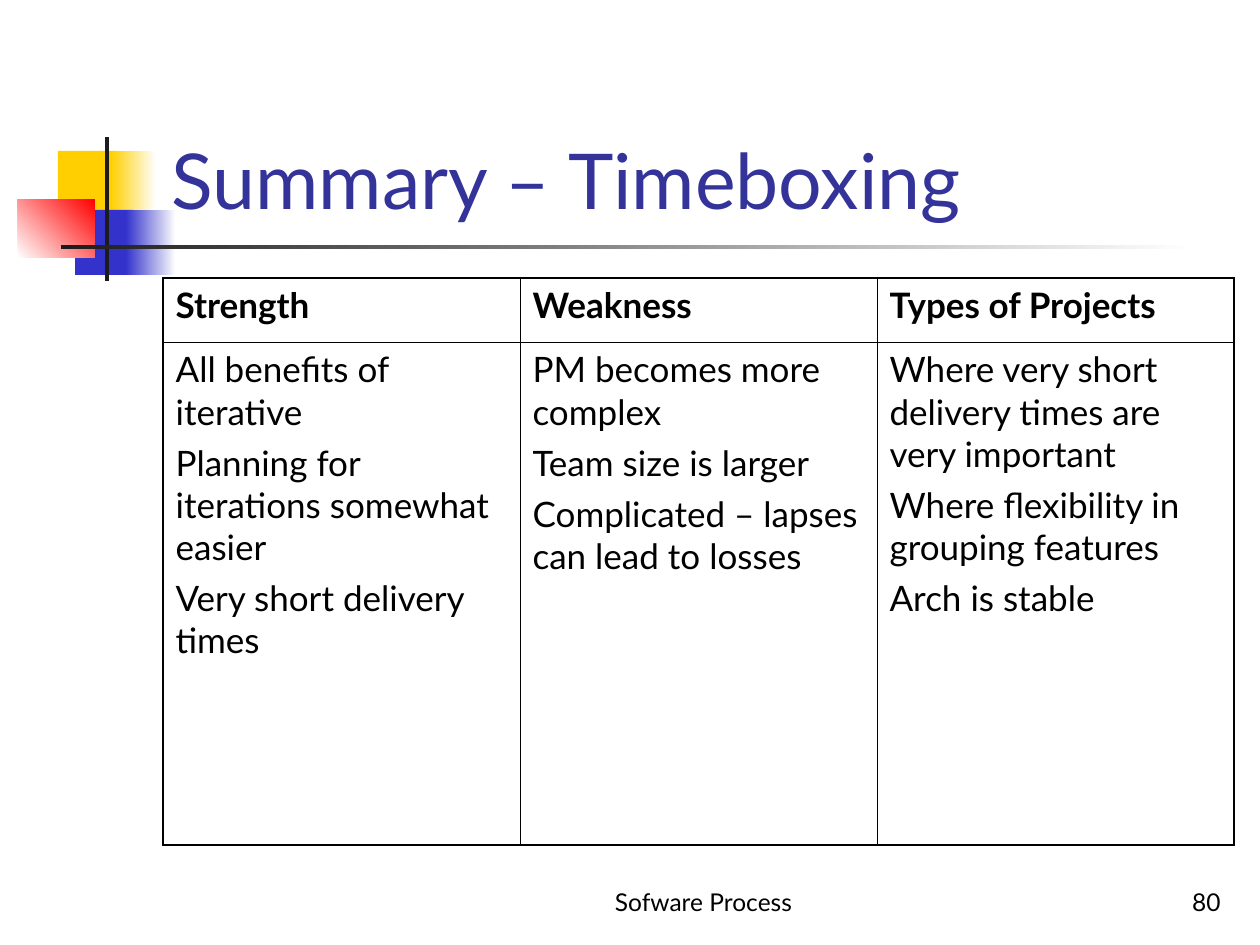
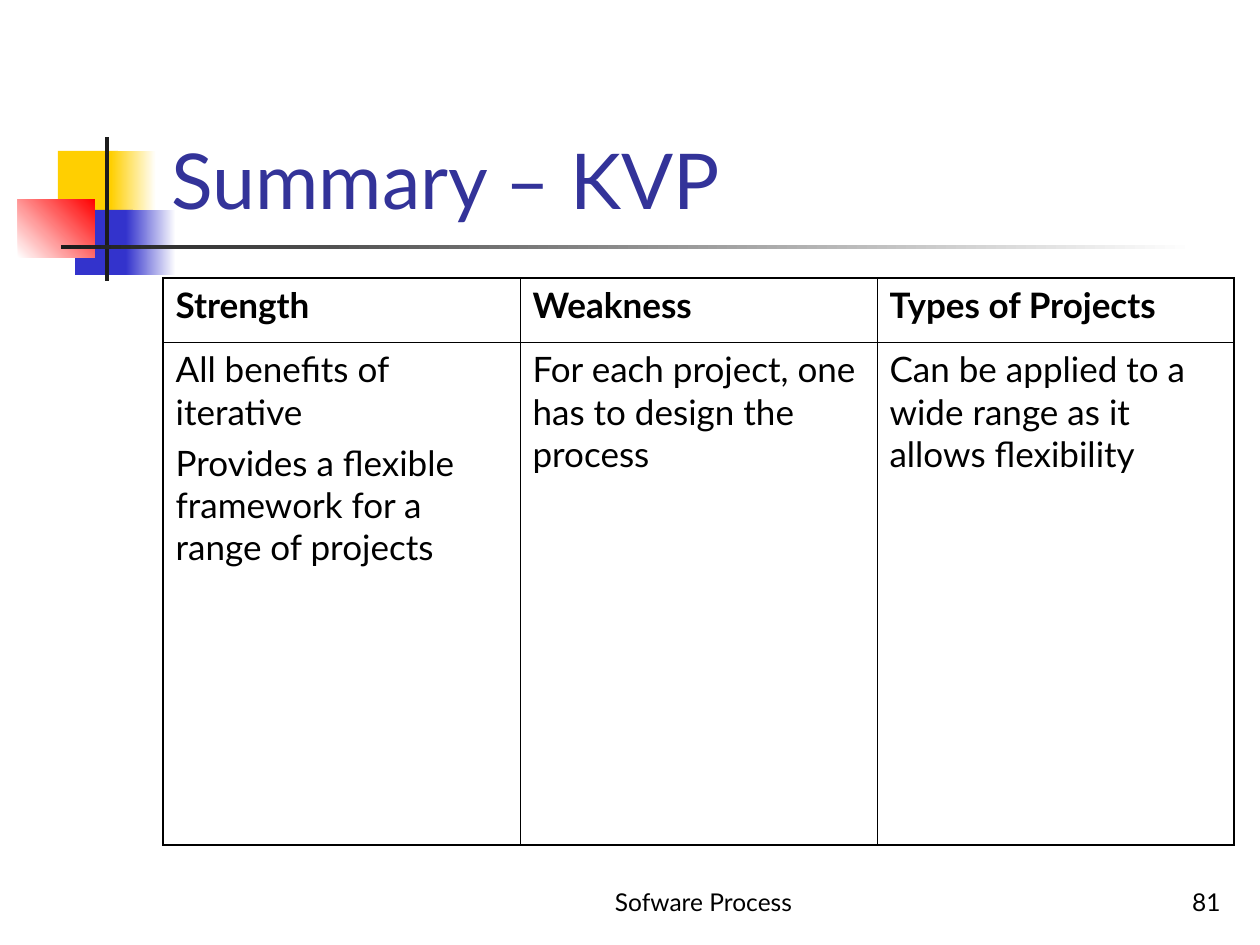
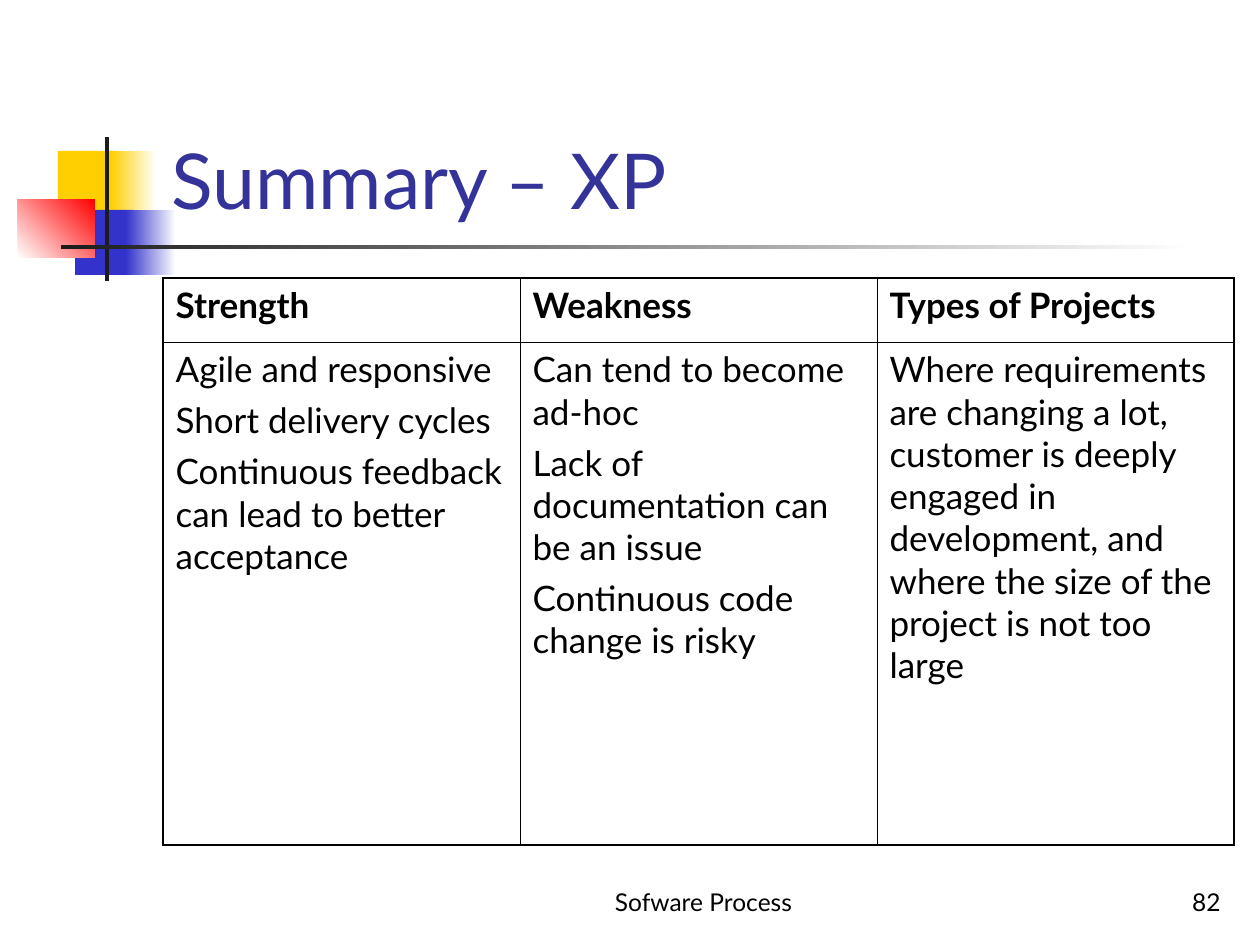
from lxml import etree
from pptx import Presentation
from pptx.dml.color import RGBColor
from pptx.enum.shapes import MSO_SHAPE
from pptx.enum.text import MSO_ANCHOR, MSO_AUTO_SIZE, PP_ALIGN
from pptx.oxml.ns import qn
from pptx.util import Pt

RECTANGLE = MSO_SHAPE.RECTANGLE
BOTTOM = MSO_ANCHOR.BOTTOM
NO_AUTOFIT = MSO_AUTO_SIZE.NONE
LEFT, CENTER, RIGHT = PP_ALIGN.LEFT, PP_ALIGN.CENTER, PP_ALIGN.RIGHT

HEADINGS = ["Strength", "Weakness", "Types of Projects"]
FOOTER = "Sofware Process"
FIRST_NUMBER = 80
SUMMARIES = [
    ("Summary – Timeboxing", [
        ["All benefits of iterative",
         "Planning for iterations somewhat easier",
         "Very short delivery times"],
        ["PM becomes more complex",
         "Team size is larger",
         "Complicated – lapses can lead to losses"],
        ["Where very short delivery times are very important",
         "Where flexibility in grouping features",
         "Arch is stable"],
    ]),
    ("Summary – KVP", [
        ["All benefits of iterative",
         "Provides a flexible framework for a range of projects"],
        ["For each project, one has to design the process"],
        ["Can be applied to a wide range as it allows flexibility"],
    ]),
    ("Summary – XP", [
        ["Agile and responsive",
         "Short delivery cycles",
         "Continuous feedback can lead to better acceptance"],
        ["Can tend to become ad-hoc",
         "Lack of documentation can be an issue",
         "Continuous code change is risky"],
        ["Where requirements are changing a lot, customer is deeply engaged in "
         "development, and where the size of the project is not too large"],
    ]),
]

FONT = "Lato"
COLORS = {
    "title": "333399", "text": "000000", "white": "FFFFFF", "yellow": "FFCF01",
    "blue": "3333CC", "red": "FF0000", "bar": "1C1C1C",
}

EMU_PER_PX = 914400 / 126
PAGE_SIZE = (1260, 945)
TITLE_AREA = (159, 29, 1073, 202)
FOOTER_AREA = (504, 860, 399, 63)
NUMBER_AREA = (971, 860, 262, 63)
TABLE_ORIGIN = (163, 278)
COLUMN_WIDTH = 357
ROW_HEIGHTS = [64, 503]
OUTER_LINE, INNER_LINE = Pt(1.08), Pt(0.45)

# Area, colours (two make a gradient), gradient angle
ORNAMENTS = [
    ((58, 151, 60, 66), ["yellow"], 0),
    ((111, 151, 45, 66), ["yellow", "white"], 0),
    ((75, 210, 58, 65), ["blue"], 0),
    ((126, 210, 50, 65), ["blue", "white"], 0),
    ((18, 199, 77, 59), ["white", "red"], 45),
    ((105, 137, 4, 144), ["bar"], 0),
    ((61, 245, 1134, 4), ["bar", "white"], 0),
]


def px(length):
    return round(length * EMU_PER_PX)


def emu(area):
    return [px(length) for length in area]


def rgb(name):
    return RGBColor.from_string(COLORS[name])


def format_text(frame, size, color="text", align=LEFT, bold=False, space_before=0):
    for para in frame.paragraphs:
        para.alignment = align
        para.space_before = Pt(space_before)
        for span in para.runs:
            span.font.name = FONT
            span.font.size = Pt(size)
            span.font.bold = bold
            span.font.color.rgb = rgb(color)


def move_ornaments_to_layout(page):
    """Draw the ornaments on a page, then hand them to its layout."""
    layout = page.slide_layout
    first_id = 1 + max(shape.shape_id for shape in layout.shapes)
    for shape_id, (area, colors, angle) in enumerate(ORNAMENTS, first_id):
        ornament = page.shapes.add_shape(RECTANGLE, *emu(area))
        ornament.shadow.inherit = False
        ornament.line.fill.background()
        fill = ornament.fill
        if len(colors) == 1:
            fill.solid()
            fill.fore_color.rgb = rgb(colors[0])
        else:
            fill.gradient()
            fill.gradient_angle = angle
            for stop, color in zip(fill.gradient_stops, colors):
                stop.color.rgb = rgb(color)
        ornament.element.nvSpPr.cNvPr.set("id", str(shape_id))
        layout.shapes.element.append(ornament.element)


def set_title(page, text):
    title = page.shapes.title
    title.left, title.top, title.width, title.height = emu(TITLE_AREA)
    frame = title.text_frame
    frame.text = text
    frame.auto_size = NO_AUTOFIT
    frame.vertical_anchor = BOTTOM
    format_text(frame, 44, "title")


def add_footer_text(page, area, text, align):
    box = page.shapes.add_textbox(*emu(area))
    frame = box.text_frame
    frame.word_wrap = True
    frame.vertical_anchor = BOTTOM
    frame.text = text
    format_text(frame, 14, align=align)


def set_borders(cell, widths):
    """Give a cell its left, right, top and bottom line, in that order."""
    properties = cell._tc.get_or_add_tcPr()
    for index, (side, width) in enumerate(zip("LRTB", widths)):
        line = etree.Element(qn(f"a:ln{side}"), w=str(width))
        fill = etree.SubElement(line, qn("a:solidFill"))
        etree.SubElement(fill, qn("a:srgbClr"), val=COLORS["text"])
        properties.insert(index, line)


def add_summary_table(page, columns):
    row_count, column_count = len(ROW_HEIGHTS), len(HEADINGS)
    size = (COLUMN_WIDTH * column_count, sum(ROW_HEIGHTS))
    table = page.shapes.add_table(
        row_count, column_count, *emu(TABLE_ORIGIN + size)).table
    table.first_row = table.horz_banding = False
    for column in table.columns:
        column.width = px(COLUMN_WIDTH)
    for row, height in zip(table.rows, ROW_HEIGHTS):
        row.height = px(height)

    for r, texts in enumerate([[[heading] for heading in HEADINGS], columns]):
        for c, lines in enumerate(texts):
            cell = table.cell(r, c)
            cell.text = "\n".join(lines)
            format_text(cell.text_frame, 20, bold=r == 0, space_before=5)
            cell.fill.background()
            on_edge = [c == 0, c == column_count - 1, r == 0, r == row_count - 1]
            set_borders(cell, [OUTER_LINE if edge else INNER_LINE for edge in on_edge])


def main():
    deck = Presentation()
    deck.slide_width, deck.slide_height = emu(PAGE_SIZE)
    title_only = deck.slide_layouts[5]
    for index, (title, columns) in enumerate(SUMMARIES):
        page = deck.slides.add_slide(title_only)
        if index == 0:
            move_ornaments_to_layout(page)
        set_title(page, title)
        add_footer_text(page, FOOTER_AREA, FOOTER, CENTER)
        add_footer_text(page, NUMBER_AREA, str(FIRST_NUMBER + index), RIGHT)
        add_summary_table(page, columns)
    deck.save("out.pptx")


if __name__ == "__main__":
    main()
